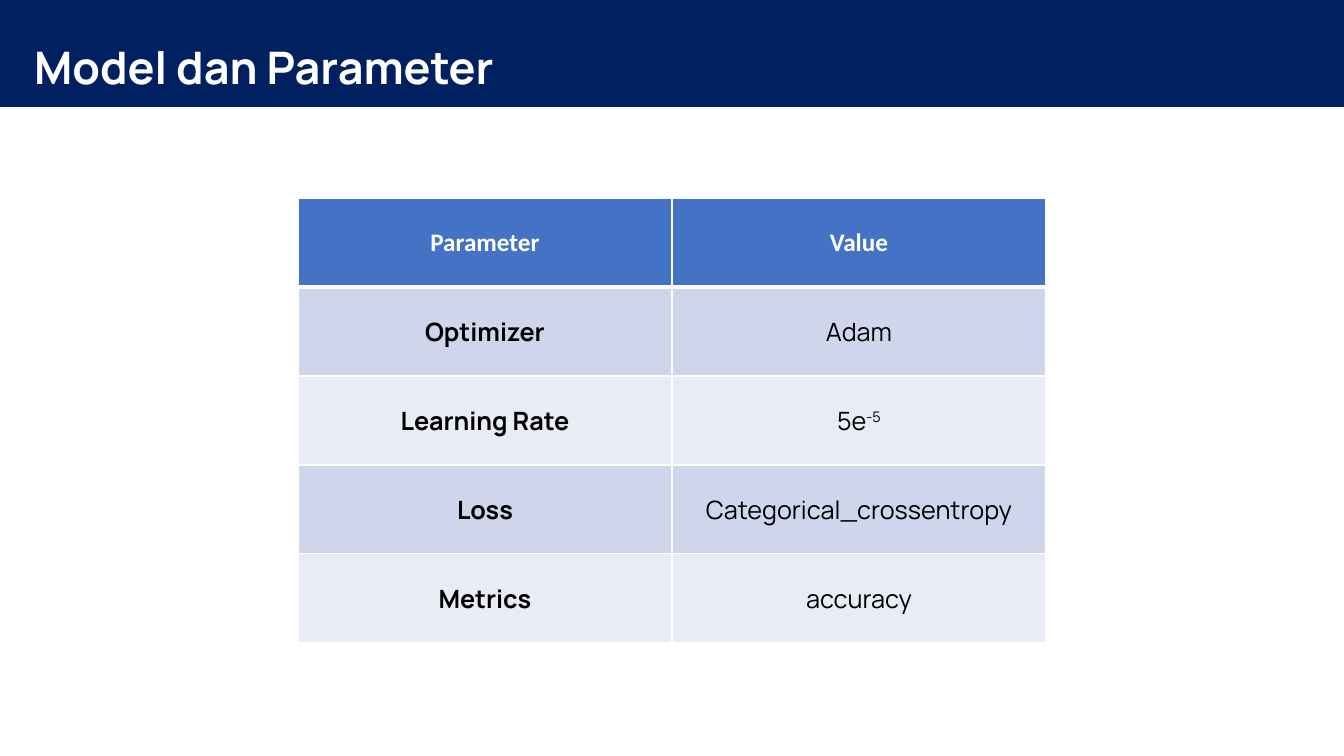
from lxml.etree import SubElement
from pptx import Presentation
from pptx.dml.color import RGBColor
from pptx.enum.shapes import MSO_SHAPE
from pptx.enum.text import MSO_ANCHOR, MSO_AUTO_SIZE, PP_ALIGN
from pptx.oxml.ns import qn
from pptx.util import Emu, Pt

TITLE = "Model dan Parameter"
HEADER = ("Parameter", "Value")
ROWS = [
    ("Optimizer", "Adam"),
    ("Learning Rate", "5e^-5"),
    ("Loss", "Categorical_crossentropy"),
    ("Metrics", "accuracy"),
]
COLORS = {
    "banner": "002060",
    "header": "4472C4",
    "odd": "CFD5EA",
    "even": "E9EBF5",
    "white": "FFFFFF",
    "black": "000000",
}
SLIDE_WIDTH, SLIDE_HEIGHT = 1344, 756
BANNER_HEIGHT = 107
TITLE_BOX = (24, 8, 1011, 84)
TABLE_LEFT, TABLE_TOP = 298, 198
COLUMN_WIDTH, ROW_HEIGHT = 374, 89
EMU_PER_PIXEL = 12192000 / SLIDE_WIDTH


def px(length):
    return Emu(round(length * EMU_PER_PIXEL))


def color(name):
    return RGBColor.from_string(COLORS[name])


def write(text_frame, text, size=18, font="Manrope", fill="black", bold=False,
          align=PP_ALIGN.CENTER, spacing=None):
    paragraph = text_frame.paragraphs[0]
    paragraph.alignment = align
    if spacing:
        paragraph.line_spacing = spacing
    for index, part in enumerate(text.split("^")):
        run = paragraph.add_run()
        run.text = part
        run.font.size = Pt(size)
        run.font.name = font
        run.font.bold = bold
        run.font.color.rgb = color(fill)
        if index:
            run.font._element.set("baseline", "30000")


def add_borders(cell, bottom):
    properties = cell._tc.get_or_add_tcPr()
    for side, width in (("L", 1), ("R", 1), ("T", 1), ("B", bottom)):
        line = SubElement(properties, qn(f"a:ln{side}"), w=str(Pt(width)))
        solid = SubElement(line, qn("a:solidFill"))
        SubElement(solid, qn("a:srgbClr"), val=COLORS["white"])


def add_banner(slide):
    banner = slide.shapes.add_shape(MSO_SHAPE.RECTANGLE, 0, 0, px(SLIDE_WIDTH), px(BANNER_HEIGHT))
    banner.shadow.inherit = False
    banner.fill.solid()
    banner.fill.fore_color.rgb = color("banner")
    banner.line.fill.background()
    slide.shapes.element.insert(2, banner.element)


def add_title(slide):
    title = slide.shapes.title
    title.left, title.top, title.width, title.height = map(px, TITLE_BOX)
    title.text_frame.word_wrap = True
    title.text_frame.auto_size = MSO_AUTO_SIZE.SHAPE_TO_FIT_TEXT
    title.text_frame.vertical_anchor = MSO_ANCHOR.TOP
    write(title.text_frame, TITLE, size=32, fill="white", bold=True,
          align=PP_ALIGN.JUSTIFY, spacing=1.5)


def add_parameter_table(slide):
    records = [HEADER, *ROWS]
    table = slide.shapes.add_table(
        len(records), len(HEADER), px(TABLE_LEFT), px(TABLE_TOP),
        px(COLUMN_WIDTH * len(HEADER)), px(ROW_HEIGHT * len(records))).table
    for row_index, record in enumerate(records):
        is_header = row_index == 0
        band = "header" if is_header else "odd" if row_index % 2 else "even"
        for column_index, text in enumerate(record):
            cell = table.cell(row_index, column_index)
            add_borders(cell, bottom=3 if is_header else 1)
            cell.fill.solid()
            cell.fill.fore_color.rgb = color(band)
            cell.vertical_anchor = MSO_ANCHOR.MIDDLE
            write(cell.text_frame, text,
                  font="Calibri" if is_header else "Manrope",
                  fill="white" if is_header else "black",
                  bold=is_header or column_index == 0)


def main():
    presentation = Presentation()
    presentation.slide_width = px(SLIDE_WIDTH)
    presentation.slide_height = px(SLIDE_HEIGHT)
    slide = presentation.slides.add_slide(presentation.slide_layouts[5])
    add_banner(slide)
    add_title(slide)
    add_parameter_table(slide)
    presentation.save("out.pptx")


if __name__ == "__main__":
    main()
